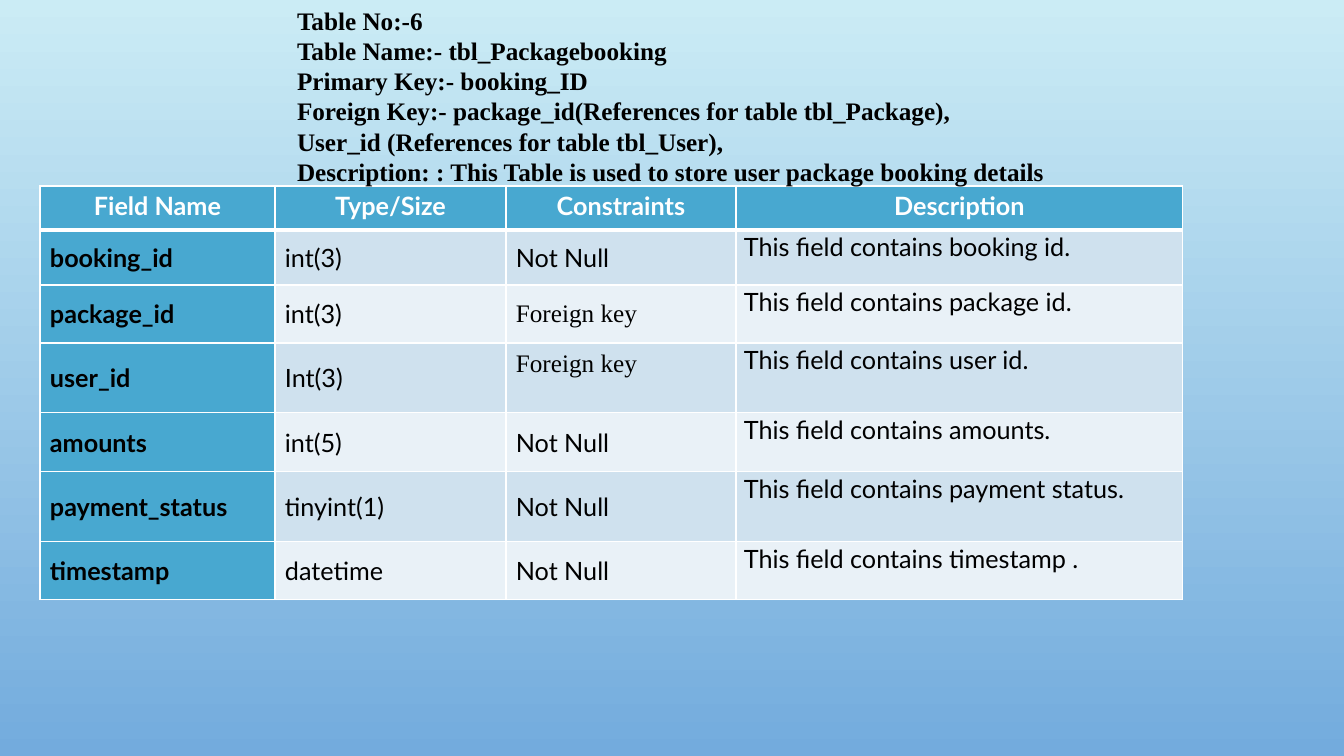
from dataclasses import dataclass

import pptx
import pptx.dml.color
import pptx.enum.text
import pptx.oxml
import pptx.oxml.ns
import pptx.util

PP_ALIGN = pptx.enum.text.PP_ALIGN
MSO_ANCHOR = pptx.enum.text.MSO_ANCHOR

SERIF, SANS = "Times New Roman", "Lato"
BLACK, WHITE, BLUE = "000000", "FFFFFF", "48A8D0"
BANDS = ("CFE1EE", "E9F1F7")


@dataclass(frozen=True)
class CellStyle:
    bold: bool = False
    colour: str = BLACK
    align: PP_ALIGN = PP_ALIGN.LEFT
    anchor: MSO_ANCHOR = MSO_ANCHOR.MIDDLE
    insets: tuple[int, int, int, int] = (10, 5, 10, 5)  # left, top, right, bottom
    line_spacing: float = 1.0
    space_after: int = 0


@dataclass(frozen=True)
class Field:
    name: str
    type_size: str
    constraint: str
    description: str
    height: int
    constraint_bottom: int = 5


TIGHT = (8, 0, 8, 0)
HEADER = CellStyle(True, WHITE, PP_ALIGN.CENTER, MSO_ANCHOR.TOP, TIGHT, 1.15, 8)
NAME = CellStyle(bold=True)
PLAIN = CellStyle()
DESCRIPTION = CellStyle(anchor=MSO_ANCHOR.TOP, insets=TIGHT, line_spacing=1.07, space_after=8)

HEADING = (
    "Table No:-6",
    "Table Name:- tbl_Packagebooking",
    "Primary Key:- booking_ID",
    "Foreign Key:- package_id(References for table tbl_Package),",
    "User_id (References for table tbl_User),",
    "Description: : This Table is used to store user package booking details",
)
COLUMNS = {"Field Name": 235, "Type/Size": 231, "Constraints": 230, "Description": 447}
HEADER_HEIGHT = 44
FIELDS = (
    Field("booking_id", "int(3)", "Not Null", "This field contains booking id.", 55),
    Field("package_id", "int(3)", "Foreign key", "This field contains package id.", 58),
    Field("user_id", "Int(3)", "Foreign key", "This field contains user id.", 70, 33),
    Field("amounts", "int(5)", "Not Null", "This field contains amounts.", 59),
    Field("payment_status", "tinyint(1)", "Not Null", "This field contains payment status.", 70),
    Field("timestamp", "datetime", "Not Null", "This field contains timestamp .", 58),
)


def px(n: int) -> int:
    return round(n * 914400 / 100.8)


def rgb(colour: str) -> pptx.dml.color.RGBColor:
    return pptx.dml.color.RGBColor.from_string(colour)


def add_run(p, text: str, font: str, bold: bool, colour: str) -> None:
    r = p.add_run()
    r.text = text
    r.font.name = font
    r.font.size = pptx.util.Pt(18)
    r.font.bold = bold
    r.font.color.rgb = rgb(colour)


def set_borders(cell, top: int, bottom: int) -> None:
    tc_pr = cell._tc.get_or_add_tcPr()
    for side, width in (("L", 1), ("R", 1), ("T", top), ("B", bottom)):
        tc_pr.append(pptx.oxml.parse_xml(
            f'<a:ln{side} {pptx.oxml.ns.nsdecls("a")} w="{pptx.util.Pt(width)}">'
            f'<a:solidFill><a:srgbClr val="{WHITE}"/></a:solidFill></a:ln{side}>'))


def fill_cell(cell, text: str, style: CellStyle, fill: str, font: str = SANS) -> None:
    cell.fill.solid()
    cell.fill.fore_color.rgb = rgb(fill)
    cell.vertical_anchor = style.anchor
    (cell.margin_left, cell.margin_top,
     cell.margin_right, cell.margin_bottom) = map(px, style.insets)
    p = cell.text_frame.paragraphs[0]
    p.alignment = style.align
    p.line_spacing = style.line_spacing
    p.space_after = pptx.util.Pt(style.space_after)
    add_run(p, text, font, style.bold, style.colour)


def add_background(s) -> None:
    fill = s.background.fill
    fill.gradient()
    fill.gradient_angle = 270
    for stop, colour, position in zip(fill.gradient_stops, ("CBECF5", "73ABDD"), (0, 1)):
        stop.color.rgb = rgb(colour)
        stop.position = position


def add_field_table(s) -> None:
    heights = [HEADER_HEIGHT] + [field.height for field in FIELDS]
    table = s.shapes.add_table(
        len(heights), len(COLUMNS), px(40), px(186),
        px(sum(COLUMNS.values())), px(sum(heights))).table
    for column, width in zip(table.columns, COLUMNS.values()):
        column.width = px(width)
    for i, height in enumerate(heights):
        table.rows[i].height = px(height)
        for cell in table.rows[i].cells:
            set_borders(cell, top=3 if i == 1 else 1, bottom=3 if i == 0 else 1)

    # Header row
    for cell, label in zip(table.rows[0].cells, COLUMNS):
        fill_cell(cell, label, HEADER, BLUE)

    # One row per field
    for i, field in enumerate(FIELDS):
        name, type_size, constraint, description = table.rows[i + 1].cells
        band = BANDS[i % 2]
        font = SERIF if field.constraint == "Foreign key" else SANS
        constraint_style = CellStyle(insets=(10, 5, 10, field.constraint_bottom))
        fill_cell(name, field.name, NAME, BLUE)
        fill_cell(type_size, field.type_size, PLAIN, band)
        fill_cell(constraint, field.constraint, constraint_style, band, font)
        fill_cell(description, field.description, DESCRIPTION, band)


def add_heading(s) -> None:
    sp = s.shapes.title
    sp.left, sp.top, sp.width, sp.height = map(px, (287, 0, 857, 194))
    tf = sp.text_frame
    tf.word_wrap = True
    tf.auto_size = pptx.enum.text.MSO_AUTO_SIZE.NONE
    tf.vertical_anchor = MSO_ANCHOR.TOP
    tf.margin_left = tf.margin_right = px(10)
    tf.margin_top = tf.margin_bottom = px(5)
    for i, line in enumerate(HEADING):
        p = tf.add_paragraph() if i else tf.paragraphs[0]
        p.alignment = PP_ALIGN.LEFT
        add_run(p, line, SERIF, True, BLACK)
    # Bring the heading in front of the table
    s.shapes.element.append(sp.element)


def main() -> None:
    prs = pptx.Presentation()
    prs.slide_width, prs.slide_height = px(1344), px(756)
    s = prs.slides.add_slide(prs.slide_layouts.get_by_name("Title Only"))
    add_background(s)
    add_field_table(s)
    add_heading(s)
    prs.save("out.pptx")


if __name__ == "__main__":
    main()
